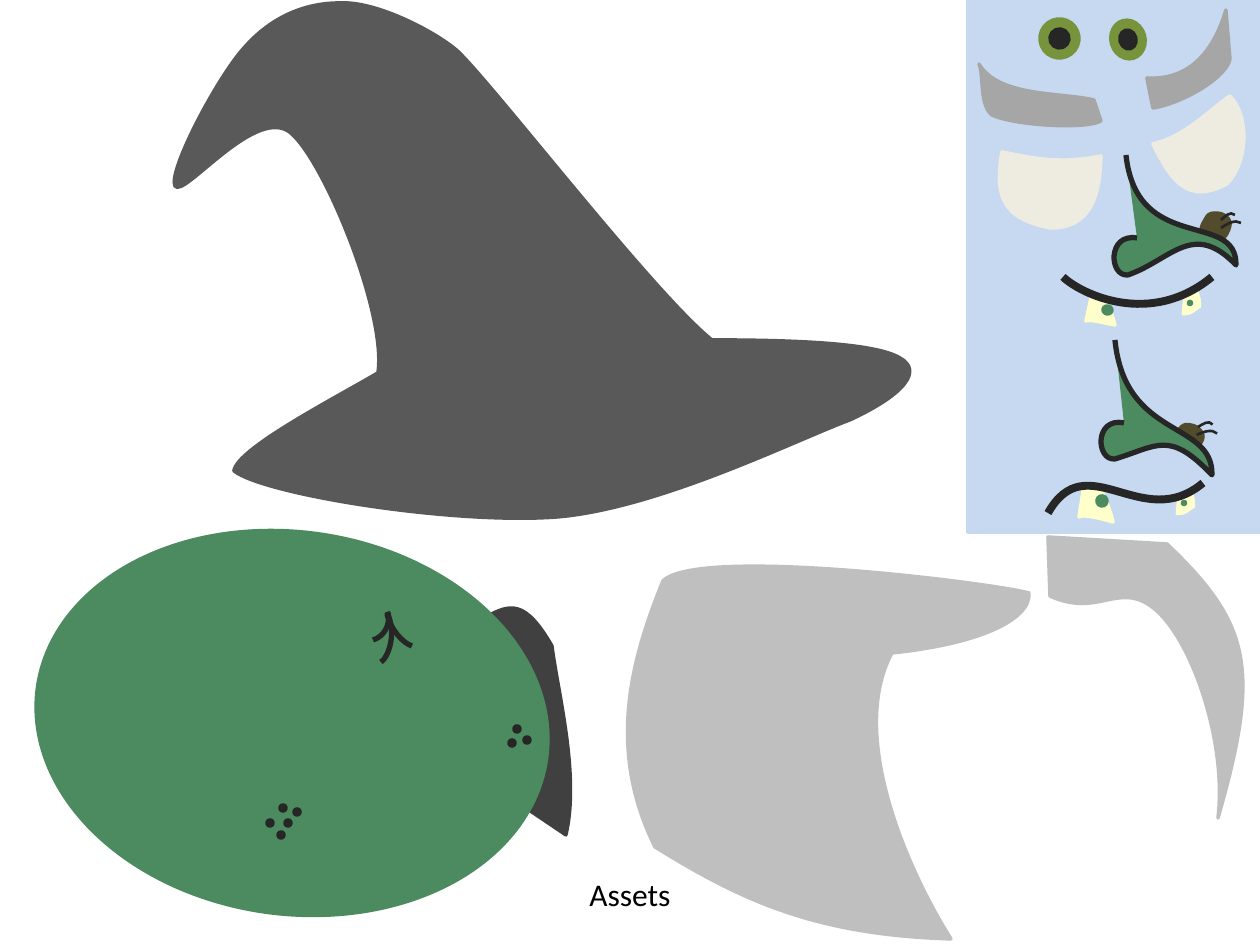
from math import cos, radians, sin

from lxml.etree import SubElement
from pptx import Presentation
from pptx.dml.color import RGBColor
from pptx.enum.shapes import MSO_SHAPE
from pptx.enum.text import MSO_ANCHOR, PP_ALIGN
from pptx.oxml.ns import qn
from pptx.util import Pt

PX = 914400 // 126
TILT = 8
CURVE_STEPS = 24
COLORS = {
    "sky": "C6D9F1", "skin": "4B8B5F", "ink": "262626", "ear": "404040",
    "beard": "BFBFBF", "hat": "595959", "bag": "EEECE1", "brow": "A6A6A6",
    "iris": "77933C", "tooth": "FFFFCC", "mole": "524B2C", "text": "000000",
}


def color(name):
    return RGBColor.from_string(COLORS[name])


def rotate(point, degrees):
    x, y = point
    c, s = cos(radians(degrees)), sin(radians(degrees))
    return x * c - y * s, x * s + y * c


def sample(start, controls):
    if len(controls) == 1:
        return controls
    corners = [start, *controls]
    return [
        tuple((1 - t) ** 3 * a + 3 * (1 - t) ** 2 * t * b + 3 * (1 - t) * t ** 2 * c + t ** 3 * d
              for a, b, c, d in zip(*corners))
        for t in (step / CURVE_STEPS for step in range(1, CURVE_STEPS + 1))
    ]


def write_text(frame, text, size=18, font="Calibri", tint="text", align=PP_ALIGN.CENTER):
    paragraph = frame.paragraphs[0]
    paragraph.alignment = align
    run = paragraph.add_run()
    run.text = text
    run.font.size = Pt(size)
    run.font.name = font
    run.font.color.rgb = color(tint)


class Board:
    def __init__(self, slide):
        self.slide = slide

    def paint(self, shape, fill, line, width):
        shape.shadow.inherit = False
        if fill:
            shape.fill.solid()
            shape.fill.fore_color.rgb = color(fill)
        else:
            shape.fill.background()
        shape.line.color.rgb = color(line or fill)
        shape.line.width = Pt(width)
        return shape

    def preset(self, box, fill, width=2, turn=TILT, kind=MSO_SHAPE.OVAL):
        shape = self.slide.shapes.add_shape(kind, *(v * PX for v in box))
        shape.rotation = turn
        return self.paint(shape, fill, None, width)

    def outline(self, segments, fill=None, line=None, width=2, turn=TILT, at=(0, 0), spin=0):
        def local(pair):
            x, y = rotate(pair, spin)
            x, y = rotate((x + at[0], y + at[1]), -turn)
            return round(x * PX), round(y * PX)

        parts = [[local(p) for p in zip(s[::2], s[1::2])] for s in segments]
        start, curves = parts[0][0], parts[1:]
        closed = curves[-1][-1] == start
        points, last = [], start
        for controls in curves:
            points += sample(last, controls)
            last = controls[-1]
        builder = self.slide.shapes.build_freeform(*start, scale=1.0)
        builder.add_line_segments(points, close=closed)
        shape = builder.convert_to_shape()
        self.bend(shape, parts, closed)
        half_w, half_h = shape.width / 2, shape.height / 2
        x, y = rotate((shape.left + half_w, shape.top + half_h), turn)
        shape.left, shape.top = round(x - half_w), round(y - half_h)
        shape.rotation = turn
        return self.paint(shape, fill, line, width)

    def bend(self, shape, parts, closed):
        track = next(shape._element.iter(qn("a:path")))
        for child in list(track):
            track.remove(child)
        for index, controls in enumerate(parts):
            tag = "a:moveTo" if index == 0 else "a:lnTo" if len(controls) == 1 else "a:cubicBezTo"
            command = SubElement(track, qn(tag))
            for x, y in controls:
                SubElement(command, qn("a:pt"), x=str(x - shape.left), y=str(y - shape.top))
        if closed:
            SubElement(track, qn("a:close"))

    def stroke(self, segments, width=3, **placing):
        return self.outline(segments, line="ink", width=width, **placing)

    def group(self, *members):
        self.slide.shapes.add_group_shape(members)

    def eye(self, iris, pupil, turn):
        self.group(self.preset(iris, "iris", turn=turn), self.preset(pupil, "ink", turn=turn))

    def mouth(self, small_tooth, big_tooth, big_turn, cavity, lips):
        x, y = small_tooth
        self.group(
            self.outline(SMALL_TOOTH, "tooth", width=0.25, at=small_tooth),
            self.preset((x + 3, y + 4, 6, 6), "skin", 0.25),
            self.outline(big_tooth, "tooth", turn=big_turn),
            self.preset(cavity, "skin", turn=big_turn),
            self.stroke(lips, 4.5),
        )

    def nose(self, bridge, bridge_turn, mole, hairs, turn):
        self.group(
            self.outline(MOLE, "mole", width=0.75, at=mole, spin=turn, turn=turn),
            *[self.stroke(hair, 1.5, at=hairs, spin=turn, turn=turn) for hair in HAIRS],
            self.outline(bridge, "skin", "ink", 3, bridge_turn),
        )

    def caption(self, box, text):
        frame = self.slide.shapes.add_textbox(*(v * PX for v in box)).text_frame
        frame.word_wrap = True
        frame.vertical_anchor = MSO_ANCHOR.TOP
        write_text(frame, text)


SMALL_TOOTH = [(0, 0), (4, 0, 3, 3, 13, -9), (17, 4, 17, 3, 17, 11),
               (12, 14, 8, 20, -2, 19), (-2, 10, -1, 9, 0, 0)]
MOLE = [(0, 0), (-3, -4, 3, -11, 5, -15), (8, -19, 11, -19, 15, -19),
        (19, -19, 23, -18, 26, -15), (29, -13, 31, -9, 30, -5),
        (29, 0, 25, 9, 20, 10), (15, 11, 3, 4, 0, 0)]
HAIRS = [[(0, 0), (5, -4, 9, -9, 14, -5)], [(0, 8), (6, 4, 14, -1, 20, 3)]]
EAR = [(486, 617), (510, 604, 525, 599, 552, 646), (558, 693, 580, 775, 566, 835),
       (529, 810), (486, 617)]
WRINKLES = [[(387, 612), (398, 635, 387, 659, 381, 662)],
            [(387, 614), (391, 630, 403, 643, 412, 646)],
            [(388, 612), (391, 626, 383, 637, 373, 640)]]
FRECKLES = [(280, 805), (267, 820), (278, 832), (285, 820), (294, 809),
            (514, 726), (509, 740), (524, 737)]
HAIR_BACK = [(663, 581), (698, 546, 992, 583, 1029, 593), (1031, 620, 979, 644, 892, 653),
             (847, 737, 910, 874, 951, 939), (816, 935, 742, 901, 655, 847),
             (607, 750, 630, 662, 663, 581)]
HAIR_FRONT = [(1048, 537), (1167, 544), (1251, 624, 1261, 669, 1218, 818),
              (1227, 745, 1194, 645, 1157, 611), (1120, 578, 1100, 619, 1050, 596), (1048, 537)]
HAT = [(292, 134), (258, 102, 183, 200, 175, 186), (168, 171, 217, 78, 244, 48),
       (272, 16, 306, 3, 340, 3), (375, 1, 430, 29, 454, 48), (479, 66, 651, 291, 712, 340),
       (803, 340, 877, 344, 900, 358), (922, 370, 908, 393, 850, 420),
       (796, 440, 660, 508, 558, 517), (455, 525, 265, 495, 234, 471),
       (237, 449, 330, 401, 378, 373), (387, 315, 326, 165, 292, 134)]
EYE_BAGS = [[(1002, 152), (1036, 159, 1062, 164, 1101, 156), (1100, 194, 1092, 228, 1051, 228),
             (1003, 219, 994, 197, 1002, 152)],
            [(1153, 144), (1186, 136, 1207, 112, 1230, 96), (1249, 115, 1249, 161, 1227, 184),
             (1188, 205, 1171, 181, 1153, 144)]]
BROWS = [[(979, 64), (999, 97, 1058, 92, 1094, 100), (1101, 121),
          (1085, 130, 1012, 125, 992, 115), (979, 105, 984, 73, 979, 64)],
         [(1147, 78), (1197, 81, 1217, 40, 1226, 10), (1230, 59),
          (1227, 77, 1184, 103, 1153, 108), (1147, 78)]]
SMILE_TOOTH = [(1092, 294), (1096, 295, 1095, 301, 1105, 301), (1110, 309, 1114, 320, 1115, 325),
               (1104, 323, 1090, 319, 1086, 321), (1092, 294)]
SMIRK_TOOTH = [(1084, 485), (1089, 486, 1087, 489, 1100, 488), (1106, 499, 1111, 513, 1113, 522),
               (1100, 518, 1082, 514, 1079, 517), (1084, 485)]
SMILE = [(1063, 277), (1081, 294, 1150, 328, 1212, 277)]
SMIRK = [(1048, 513), (1087, 444, 1142, 534, 1203, 483)]
LOWER_NOSE = [(1115, 340), (1125, 440, 1213, 420, 1212, 475),
              (1169, 430, 1158, 446, 1115, 459), (1096, 461, 1094, 417, 1124, 423)]
UPPER_NOSE = [(1126, 155), (1137, 255, 1237, 210, 1236, 265),
              (1193, 220, 1171, 260, 1128, 275), (1109, 277, 1107, 233, 1137, 238)]

deck = Presentation()
deck.slide_width, deck.slide_height = 1260 * PX, 945 * PX
board = Board(deck.slides.add_slide(deck.slide_layouts[6]))

board.preset((968, 0, 292, 532), "sky", turn=0, kind=MSO_SHAPE.RECTANGLE)
board.group(
    board.outline(EAR, "ear"),
    board.preset((35, 532, 514, 382), "skin"),
    *[board.stroke(wrinkle) for wrinkle in WRINKLES],
    *[board.preset((*freckle, 6, 6), "ink") for freckle in FRECKLES],
    board.preset((442, 852, 6, 6), "skin", 0.25),
    board.preset((360, 848, 10, 10), "skin"),
)
board.group(board.outline(HAIR_BACK, "beard"), board.outline(HAIR_FRONT, "beard"))
board.outline(HAT, "hat")
for fill, pair in (("bag", EYE_BAGS), ("brow", BROWS)):
    for side in pair:
        board.outline(side, fill)
board.eye((1040, 19, 39, 39), (1050, 29, 19, 19), TILT)
board.eye((1111, 20, 34, 39), (1120, 30, 16, 19), 344)
board.mouth((1184, 296), SMILE_TOOTH, 9.8, (1103, 306, 9, 8), SMILE)
board.nose(LOWER_NOSE, 0.9, (1173, 440), (1198, 427), 10.2)
board.mouth((1178, 496), SMIRK_TOOTH, TILT, (1097, 496, 10, 10), SMIRK)
board.nose(UPPER_NOSE, 0, (1201, 231), (1221, 220), 0)
board.caption((0, 869, 1260, 50), "Assets")

deck.save("out.pptx")
